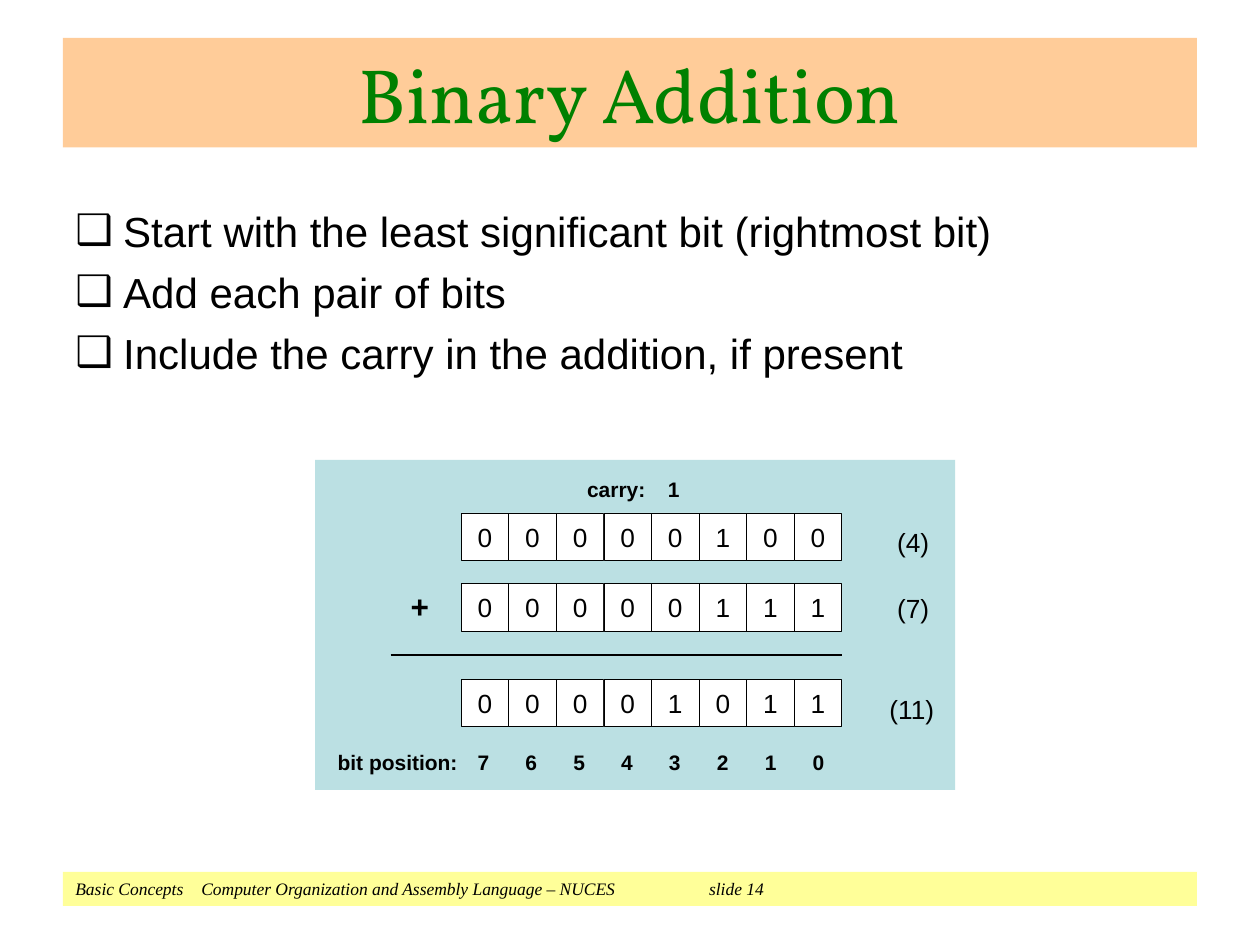
from dataclasses import dataclass

from lxml import etree
from pptx import Presentation
from pptx.dml.color import RGBColor
from pptx.enum.shapes import MSO_CONNECTOR, MSO_SHAPE
from pptx.enum.text import MSO_ANCHOR, MSO_AUTO_SIZE, PP_ALIGN
from pptx.oxml.ns import qn
from pptx.shapes.autoshape import Shape
from pptx.text.text import _Paragraph
from pptx.util import Inches, Pt

RECTANGLE = MSO_SHAPE.RECTANGLE
STRAIGHT = MSO_CONNECTOR.STRAIGHT
MIDDLE, TOP = MSO_ANCHOR.MIDDLE, MSO_ANCHOR.TOP
GROW = MSO_AUTO_SIZE.SHAPE_TO_FIT_TEXT
CENTER, LEFT = PP_ALIGN.CENTER, PP_ALIGN.LEFT

COLORS = {
    "ink": "000000",
    "title": "008000",
    "title_band": "FFCC99",
    "footer_band": "FFFF99",
    "panel": "BBE0E3",
    "cell": "FFFFFF",
}
BITS_LEFT, BITS_RIGHT = 3.66, 6.68
CELL = (BITS_RIGHT - BITS_LEFT) / 8
POSITION_LEFT, POSITION_STEP = 3.79, 0.38


@dataclass(frozen=True)
class Style:
    size: float
    font: str = "Arial"
    color: str = "ink"
    bold: bool = False
    italic: bool = False


@dataclass(frozen=True)
class Box:
    left: float
    top: float
    width: float
    height: float

    def lengths(self) -> tuple:
        return tuple(map(Inches, (self.left, self.top, self.width, self.height)))


@dataclass(frozen=True)
class Label:
    text: str
    box: Box
    style: Style


@dataclass(frozen=True)
class BinaryNumber:
    bits: str
    top: float


DIGIT = Style(15)
CAPTION = Style(12, bold=True)
BULLET = Style(24)

POINTS = (
    "Start with the least significant bit (rightmost bit)",
    "Add each pair of bits",
    "Include the carry in the addition, if present",
)
NUMBERS = (
    BinaryNumber("00000100", 4.07),
    BinaryNumber("00000111", 4.63),
    BinaryNumber("00001011", 5.39),
)
LABELS = (
    Label("carry:", Box(4.66, 3.78, 0.5, 0.2), CAPTION),
    Label("1", Box(5.3, 3.78, 0.1, 0.2), CAPTION),
    Label("+", Box(3.26, 4.66, 0.15, 0.3), Style(18, bold=True)),
    Label("(4)", Box(7.12, 4.18, 0.26, 0.25), DIGIT),
    Label("(7)", Box(7.12, 4.7, 0.26, 0.25), DIGIT),
    Label("(11)", Box(7.06, 5.5, 0.37, 0.25), DIGIT),
    Label("bit position:", Box(2.68, 5.95, 1, 0.2), CAPTION),
)


def rgb(name: str) -> RGBColor:
    return RGBColor.from_string(COLORS[name])


def add_run(paragraph: _Paragraph, text: str, style: Style) -> None:
    run = paragraph.add_run()
    run.text = text
    run.font.name = style.font
    run.font.size = Pt(style.size)
    run.font.bold = style.bold
    run.font.italic = style.italic
    run.font.color.rgb = rgb(style.color)


def set_margins(shape: Shape, margin: float) -> None:
    frame = shape.text_frame
    frame.margin_left = frame.margin_right = Inches(margin)
    frame.margin_top = frame.margin_bottom = Inches(margin)


def add_rectangle(shapes, box: Box, fill: str, outline: float = 0) -> Shape:
    rectangle = shapes.add_shape(RECTANGLE, *box.lengths())
    rectangle.shadow.inherit = False
    rectangle.fill.solid()
    rectangle.fill.fore_color.rgb = rgb(fill)
    if outline:
        rectangle.line.color.rgb = rgb("ink")
        rectangle.line.width = Pt(outline)
    else:
        rectangle.line.fill.background()
    return rectangle


def write_in(shape: Shape, text: str, style: Style, align=CENTER, anchor=MIDDLE) -> None:
    shape.text_frame.vertical_anchor = anchor
    paragraph = shape.text_frame.paragraphs[0]
    paragraph.alignment = align
    add_run(paragraph, text, style)


def add_label(shapes, label: Label) -> None:
    caption = shapes.add_textbox(*label.box.lengths())
    caption.text_frame.word_wrap = False
    caption.text_frame.auto_size = GROW
    set_margins(caption, 0)
    write_in(caption, label.text, label.style, LEFT, TOP)


def add_number(shapes, number: BinaryNumber) -> None:
    for column, bit in enumerate(number.bits):
        box = Box(BITS_LEFT + column * CELL, number.top, CELL, CELL)
        cell = add_rectangle(shapes, box, "cell", 0.37)
        set_margins(cell, 0)
        write_in(cell, bit, DIGIT)


def add_sum_line(shapes) -> None:
    sum_line = shapes.add_connector(
        STRAIGHT, Inches(3.1), Inches(5.2), Inches(BITS_RIGHT), Inches(5.2)
    )
    sum_line.line.color.rgb = rgb("ink")
    sum_line.line.width = Pt(1.13)
    etree.SubElement(sum_line._element.spPr, qn("a:effectLst"))


def add_points(shapes) -> None:
    body = shapes.add_textbox(*Box(0.5, 1.58, 9, 1.99).lengths())
    frame = body.text_frame
    frame.word_wrap = True
    for index, point in enumerate(POINTS):
        paragraph = frame.add_paragraph() if index else frame.paragraphs[0]
        if index:
            paragraph.space_before = Pt(6)
        properties = paragraph._p.get_or_add_pPr()
        properties.set("marL", str(Inches(0.38)))
        properties.set("indent", str(Inches(-0.38)))
        bullet_color = etree.SubElement(properties, qn("a:buClr"))
        etree.SubElement(bullet_color, qn("a:srgbClr"), val=COLORS["ink"])
        etree.SubElement(properties, qn("a:buFont"), typeface=BULLET.font)
        etree.SubElement(properties, qn("a:buChar"), char="❑")
        add_run(paragraph, point, BULLET)


def add_footer(shapes) -> None:
    footer = add_rectangle(shapes, Box(0.5, 6.92, 9, 0.27), "footer_band")
    text = "Basic Concepts\tComputer Organization and Assembly Language – NUCES\tslide 14"
    write_in(footer, text, Style(10, "Times New Roman", italic=True), LEFT)
    properties = footer.text_frame.paragraphs[0]._p.get_or_add_pPr()
    tabs = etree.SubElement(properties, qn("a:tabLst"))
    for position in (1, 5.03):
        etree.SubElement(tabs, qn("a:tab"), pos=str(Inches(position)), algn="l")


def add_addition(shapes) -> None:
    diagram = shapes.add_group_shape().shapes
    add_rectangle(diagram, Box(2.5, 3.65, 5.08, 2.62), "panel")
    for number in NUMBERS:
        add_number(diagram, number)
    add_sum_line(diagram)
    for label in LABELS:
        add_label(diagram, label)
    for column, position in enumerate(reversed(range(8))):
        box = Box(POSITION_LEFT + column * POSITION_STEP, 5.95, 0.1, 0.2)
        add_label(diagram, Label(str(position), box, CAPTION))


def main() -> None:
    """Build the binary addition slide and save it."""
    presentation = Presentation()
    presentation.slide_width, presentation.slide_height = Inches(10), Inches(7.5)
    shapes = presentation.slides.add_slide(presentation.slide_layouts[6]).shapes
    add_footer(shapes)
    title = add_rectangle(shapes, Box(0.5, 0.3, 9, 0.87), "title_band")
    write_in(title, "Binary Addition", Style(44, "Vollkorn", "title"))
    add_points(shapes)
    add_addition(shapes)
    presentation.save("out.pptx")


if __name__ == "__main__":
    main()
